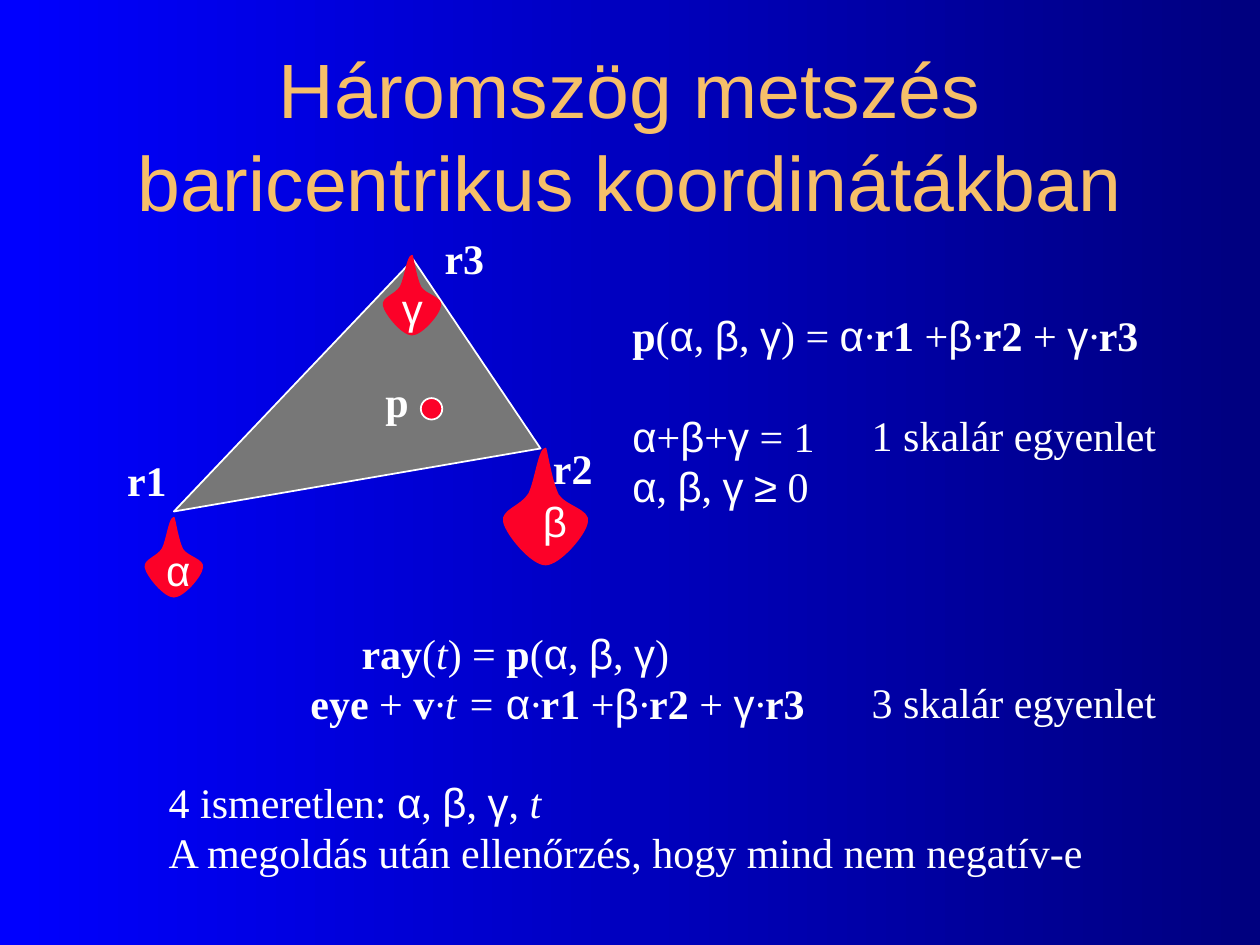
"""Build a slide on triangle intersection in barycentric coordinates."""
from itertools import groupby

from lxml.etree import SubElement
from pptx import Presentation
from pptx.dml.color import RGBColor
from pptx.enum.shapes import MSO_SHAPE
from pptx.enum.text import MSO_ANCHOR, PP_ALIGN
from pptx.oxml.ns import qn
from pptx.util import Inches, Pt

BLUE = RGBColor(0x00, 0x00, 0xFF)
NAVY = RGBColor(0x00, 0x00, 0x7F)
GOLD = RGBColor(0xF6, 0xBF, 0x69)
GRAY = RGBColor(0x77, 0x77, 0x77)
RED = RGBColor(0xFC, 0x01, 0x28)
WHITE = RGBColor(0xFF, 0xFF, 0xFF)

presentation = Presentation()
presentation.slide_width = Inches(10)
presentation.slide_height = Inches(7.5)
slide = presentation.slides.add_slide(presentation.slide_layouts[6])

background = slide.background.fill
background.gradient()
background.gradient_angle = 0
for stop, color in zip(background.gradient_stops, (BLUE, NAVY)):
    stop.color.rgb = color


def add_text(left, top, width, height, lines, wrap=False):
    """Add a text box where *bold* and _italic_ are marked and Greek is in Arial."""
    box = slide.shapes.add_textbox(Inches(left), Inches(top), Inches(width), Inches(height))
    frame = box.text_frame
    frame.word_wrap = wrap
    for number, line in enumerate(lines):
        paragraph = frame.add_paragraph() if number else frame.paragraphs[0]
        for bold_index, bold_part in enumerate(line.split("*")):
            for italic_index, part in enumerate(bold_part.split("_")):
                for symbol, characters in groupby(part, lambda character: character in "αβγ≥"):
                    run = paragraph.add_run()
                    run.text = "".join(characters)
                    run.font.name = "Arial" if symbol else "Times New Roman"
                    run.font.size = Pt(24)
                    run.font.color.rgb = WHITE
                    run.font.bold = bold_index % 2 == 1
                    run.font.italic = italic_index % 2 == 1
    return frame


def add_outline(points, fill, line):
    """Add a closed filled outline through points given in inches."""
    corners = [(Inches(x), Inches(y)) for x, y in points]
    builder = slide.shapes.build_freeform(*corners[0])
    builder.add_line_segments(corners[1:], close=True)
    shape = builder.convert_to_shape()
    shape.shadow.inherit = False
    shape.fill.solid()
    shape.fill.fore_color.rgb = fill
    shape.line.color.rgb = line
    shape.line.width = Pt(1)
    return shape


title_box = slide.shapes.add_textbox(Inches(0.75), Inches(0.44), Inches(8.5), Inches(1.25))
title_frame = title_box.text_frame
title_frame.word_wrap = True
title_frame.vertical_anchor = MSO_ANCHOR.MIDDLE
title_frame.text = "Háromszög metszés baricentrikus koordinátákban"
title = title_frame.paragraphs[0]
title.alignment = PP_ALIGN.CENTER
title.runs[0].font.name = "Arial"
title.runs[0].font.size = Pt(44)
title.runs[0].font.color.rgb = GOLD

add_outline([(1.38, 4.06), (3.28, 2.06), (4.29, 3.56)], GRAY, WHITE)

point = slide.shapes.add_shape(
    MSO_SHAPE.OVAL, Inches(3.34), Inches(3.16), Inches(0.17), Inches(0.17))
point.shadow.inherit = False
point.fill.solid()
point.fill.fore_color.rgb = RED
point.line.color.rgb = WHITE
point.line.width = Pt(1)

for label, left, top, width in (
    ("r1", 0.91, 3.56, 0.58),
    ("r2", 4.29, 3.46, 0.58),
    ("p", 2.96, 2.93, 0.38),
    ("r3", 3.43, 1.8, 0.58),
):
    add_text(left, top, width, 0.5, [f"*{label}*"], wrap=label != "p")

DROP_POINTS = (
    (0, 0),
    (-0.05, 0), (-0.08, 0.26), (-0.13, 0.36),
    (-0.19, 0.46), (-0.35, 0.49), (-0.33, 0.58),
    (-0.31, 0.68), (-0.11, 0.92), (0, 0.92),
    (0.11, 0.92), (0.32, 0.68), (0.33, 0.58),
    (0.35, 0.49), (0.16, 0.46), (0.1, 0.37),
    (0.05, 0.27), (0.02, 0.08), (0, 0),
)
for tip_x, tip_y, scale in ((4.33, 3.56, 1), (1.38, 4.11, 0.68), (3.27, 2.03, 0.68)):
    drop = add_outline(
        [(tip_x + scale * x, tip_y + scale * y) for x, y in DROP_POINTS], RED, RED)
    segments = list(drop._element.iter(qn("a:lnTo")))
    outline = segments[0].getparent()
    for index in range(0, len(segments), 3):
        curve = SubElement(outline, qn("a:cubicBezTo"))
        for segment in segments[index:index + 3]:
            curve.append(segment[0])
            outline.remove(segment)
    outline.append(outline.find(qn("a:close")))

combination = "α_·_*r1* +β_·_*r2* + γ_·_*r3*"
equations = add_text(4.92, 2.41, 4.61, 1.7, [
    f"*p*(α, β, γ) = {combination}",
    "α+β+γ = 1",
    "α, β, γ ≥ 0",
], wrap=True)
equations.paragraphs[1].space_before = Pt(28.5)

for weight, left, top, width in (
    ("α", 1.22, 4.27, 0.41),
    ("β", 4.21, 3.88, 0.38),
    ("γ", 3.09, 2.19, 0.39),
):
    add_text(left, top, width, 0.5, [weight])

ray = add_text(1.58, 4.93, 5.02, 1.3, [
    "*ray*(_t_) = *p*(α, β, γ)",
    f"*eye* + *v*_·t = _{combination}",
], wrap=True)
for paragraph in ray.paragraphs:
    paragraph.alignment = PP_ALIGN.CENTER
ray.paragraphs[1]._p.get_or_add_pPr().set("marL", str(Inches(0.67)))

for count, top in ((3, 5.32), (1, 3.2)):
    add_text(6.82, top, 2.46, 0.5, [f"{count} skalár egyenlet"])

add_text(1.24, 6.11, 7.47, 0.9, [
    "4 ismeretlen: α, β, γ, _t_",
    "A megoldás után ellenőrzés, hogy mind nem negatív-e",
])

presentation.save("out.pptx")
